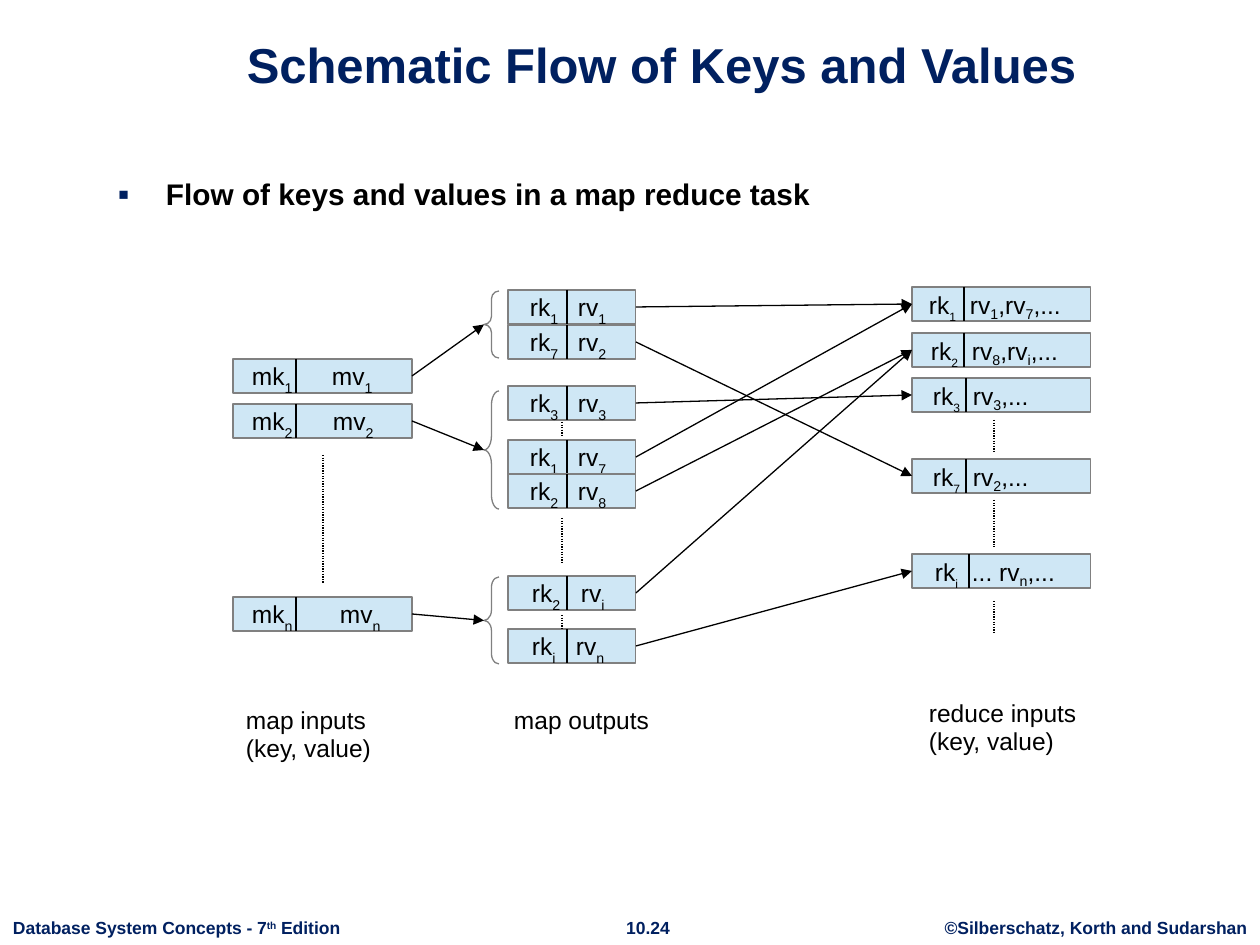
import pptx
import pptx.dml.color
import pptx.enum.dml
import pptx.enum.shapes
import pptx.enum.text
import pptx.oxml.ns
import pptx.util
from lxml import etree

PIXEL = 914400 // 126
RECORD_HEIGHT = 34
NAVY, BLACK, GREY, PALE_BLUE = "002060", "000000", "808080", "CFE7F5"
ALIGN = pptx.enum.text.PP_ALIGN
ANCHOR = pptx.enum.text.MSO_ANCHOR
SHAPE = pptx.enum.shapes.MSO_SHAPE


def px(*lengths):
    """Turn pixel lengths into EMU."""
    return [pptx.util.Emu(round(length * PIXEL)) for length in lengths]


def paint(color_format, color):
    """Apply a hex colour to a fill, line fill or font fill."""
    color_format.solid()
    color_format.fore_color.rgb = pptx.dml.color.RGBColor.from_string(color)


def add_xml(parent, tag, **attributes):
    """Append a DrawingML element."""
    return etree.SubElement(parent, pptx.oxml.ns.qn("a:" + tag), attributes)


def add_run(paragraph, text, size, color=BLACK, bold=False, baseline=0):
    """Add one formatted run."""
    run = paragraph.add_run()
    run.text = text
    run.font.name, run.font.size, run.font.bold = "Arial", pptx.util.Pt(size), bold
    paint(run.font.fill, color)
    if baseline:
        run.font._element.set("baseline", str(baseline * 1000))


def set_frame(frame, anchor, left=13, right=13, top=9, bottom=6):
    """Set the margins, anchor and wrapping of a text frame."""
    frame.margin_left, frame.margin_right = px(left, right)
    frame.margin_top, frame.margin_bottom = px(top, bottom)
    frame.vertical_anchor, frame.word_wrap = anchor, True


def add_text(slide, box, align, anchor=ANCHOR.TOP, top=6):
    """Add a text box and return its first paragraph."""
    frame = slide.shapes.add_textbox(*px(*box)).text_frame
    set_frame(frame, anchor, top=top)
    frame.paragraphs[0].alignment = align
    return frame.paragraphs[0]


def add_line(slide, start, end, dotted=False, arrow=False):
    """Draw a thin black line."""
    line = slide.shapes.add_connector(
        pptx.enum.shapes.MSO_CONNECTOR.STRAIGHT, *px(*start, *end))
    paint(line.line.fill, BLACK)
    line.line.width = pptx.util.Pt(0.75)
    if dotted:
        line.line.dash_style = pptx.enum.dml.MSO_LINE.ROUND_DOT
    if arrow:
        add_xml(line.line._get_or_add_ln(), "tailEnd", type="triangle")
    add_xml(line._element.spPr, "effectLst")
    return line


def add_arrow(slide, source, target):
    """Join the right side of a record to the left side of a target."""
    arrow = add_line(slide, (0, 0), (1, 1), arrow=True)
    arrow.begin_connect(source, 3)
    arrow.end_connect(target, 1)


def add_outline(slide, kind, box):
    """Add a shape with a thin grey outline."""
    shape = slide.shapes.add_shape(kind, *px(*box))
    shape.shadow.inherit = False
    paint(shape.line.fill, GREY)
    shape.line.width = pptx.util.Pt(0.75)
    return shape


def add_record(slide, box, divider, key_x, value_x, key, value, key_sub, value_sub):
    """Draw a key and value record; bars in the text enclose subscripts."""
    x, y, width, height = box
    record = add_outline(slide, SHAPE.RECTANGLE, box)
    paint(record.fill, PALE_BLUE)
    set_frame(record.text_frame, ANCHOR.MIDDLE, left=key_x, right=0)
    paragraph = record.text_frame.paragraphs[0]
    paragraph.alignment, paragraph.line_spacing = ALIGN.LEFT, 0.93
    tabs = add_xml(paragraph._p.get_or_add_pPr(), "tabLst")
    add_xml(tabs, "tab", pos=str(px(value_x - key_x)[0]), algn="l")
    for text, sub in ((key, key_sub), ("\t" + value, value_sub)):
        for index, part in enumerate(text.split("|")):
            if part:
                size, baseline = sub if index % 2 else (14, 0)
                add_run(paragraph, part, size, baseline=baseline)
    add_line(slide, (x + divider, y), (x + divider, y + height))
    return record


def add_column(slide, box, records, dots_x, dots, label_at, label, key_sub, value_sub):
    """Draw a column of records with its continuation dots and label."""
    x, y, width = box
    shapes = [add_record(slide, (x, y + top, width, RECORD_HEIGHT), *parts, key_sub, value_sub)
              for top, *parts in records]
    for top, bottom in dots:
        add_line(slide, (x + dots_x, y + top), (x + dots_x, y + bottom), dotted=True)
    paragraph = add_text(slide, (x + label_at[0], y + label_at[1], 175, 60), ALIGN.LEFT, top=9)
    for index, line in enumerate(label):
        if index:
            paragraph = paragraph._parent.add_paragraph()
        paragraph.line_spacing = 0.93
        add_run(paragraph, line, 14)
    return shapes


def add_braces(slide, x, y, spans):
    """Draw the braces that gather the outputs of each map input."""
    braces = []
    for top, height in spans:
        brace = add_outline(slide, SHAPE.LEFT_BRACE, (x, y + top, 15, height))
        brace.fill.background()
        brace.adjustments[0] = round(height / 126, 2)
        braces.append(brace)
    return braces


def add_heading(slide, box):
    """Write the title and the bullet below it."""
    x, y, width = box
    title = add_text(slide, (x, y, width, 85), ALIGN.CENTER, ANCHOR.BOTTOM)
    add_run(title, "Schematic Flow of Keys and Values", 28, NAVY, True)
    bullet = add_text(slide, (x, y + 156, width - 100, 78), ALIGN.LEFT)
    bullet.space_before = pptx.util.Pt(6)
    properties = bullet._p.get_or_add_pPr()
    properties.set("marL", str(px(48)[0]))
    properties.set("indent", str(px(-48)[0]))
    add_xml(add_xml(properties, "buClr"), "srgbClr", val=NAVY)
    add_xml(properties, "buSzPct", val="110000")
    add_xml(properties, "buFont", typeface="Arial")
    add_xml(properties, "buChar", char="▪")
    add_run(bullet, "Flow of keys and values in a map reduce task", 17, BLACK, True)


def add_footer(slide, box):
    """Write the edition, page number and authors."""
    x, y, width, height = box
    edition = add_text(slide, (x, y, 400, height), ALIGN.LEFT)
    for text, baseline in (("Database System Concepts - 7", 0), ("th", 30), (" Edition", 0)):
        add_run(edition, text, 10, NAVY, True, baseline)
    page = add_text(slide, (x + 598, y, 100, height), ALIGN.CENTER)
    add_run(page, "10.24", 10, NAVY, True)
    authors = add_text(slide, (x + width - 400, y, 400, height), ALIGN.RIGHT)
    add_run(authors, "©Silberschatz, Korth and Sudarshan", 10, NAVY, True)


def add_flow(slide, x, y):
    """Draw the flow from map inputs through map outputs to reduce inputs."""
    inputs = add_column(slide, (x, y + 72, 179), [
        (0, 63, 19, 99, "mk|1|", "mv|1|"),
        (45, 63, 19, 100, "mk|2|", "mv|2|"),
        (238, 63, 19, 107, "mk|n|", "mv|n|"),
    ], 90, [(96, 224)], (0, 340), ["map inputs", "(key, value)"], (14, -33), (14, -33))
    outputs = add_column(slide, (x + 275, y + 3, 128), [
        (0, 59, 22, 70, "rk|1|", "rv|1|"),
        (35, 59, 22, 70, "rk|7|", "rv|2|"),
        (96, 59, 22, 70, "rk|3|", "rv|3|"),
        (150, 59, 22, 70, "rk|1|", "rv|7|"),
        (184, 59, 22, 70, "rk|2|", "rv|8|"),
        (286, 59, 24, 73, "rk|2|", "rv|i|"),
        (339, 59, 24, 68, "rk|i|", "rv|n|"),
    ], 54, [(132, 147), (228, 273), (325, 339)], (-7, 409), ["map outputs"],
        (14, -33), (14, -33))
    reduces = add_column(slide, (x + 679, y, 179), [
        (0, 52, 17, 58, "rk|1|", "rv|1|,rv|7|,..."),
        (46, 52, 19, 60, "rk|2|", "rv|8|,rv|i|,..."),
        (91, 54, 21, 61, "rk|3|", "rv|3|,..."),
        (172, 54, 21, 61, "rk|7|", "rv|2|,..."),
        (267, 57, 23, 60, "rk|i|", "... rv|n|,..."),
    ], 82, [(133, 165), (213, 260), (314, 347)], (4, 405), ["reduce inputs", "(key, value)"],
        (12, -33), (14, -20))
    braces = add_braces(slide, x + 251, y + 3, [(1, 67), (101, 118), (287, 87)])
    for record, brace in zip(inputs, braces):
        add_arrow(slide, record, brace)
    for output, target in zip(outputs, (0, 3, 2, 0, 1, 1, 4)):
        add_arrow(slide, output, reduces[target])


deck = pptx.Presentation()
deck.slide_width, deck.slide_height = px(1260, 945)
flow_slide = deck.slides.add_slide(deck.slide_layouts[6])
add_footer(flow_slide, (0, 911, 1260, 34))
add_heading(flow_slide, (105, 14, 1113))
add_flow(flow_slide, 233, 287)
deck.save("out.pptx")
